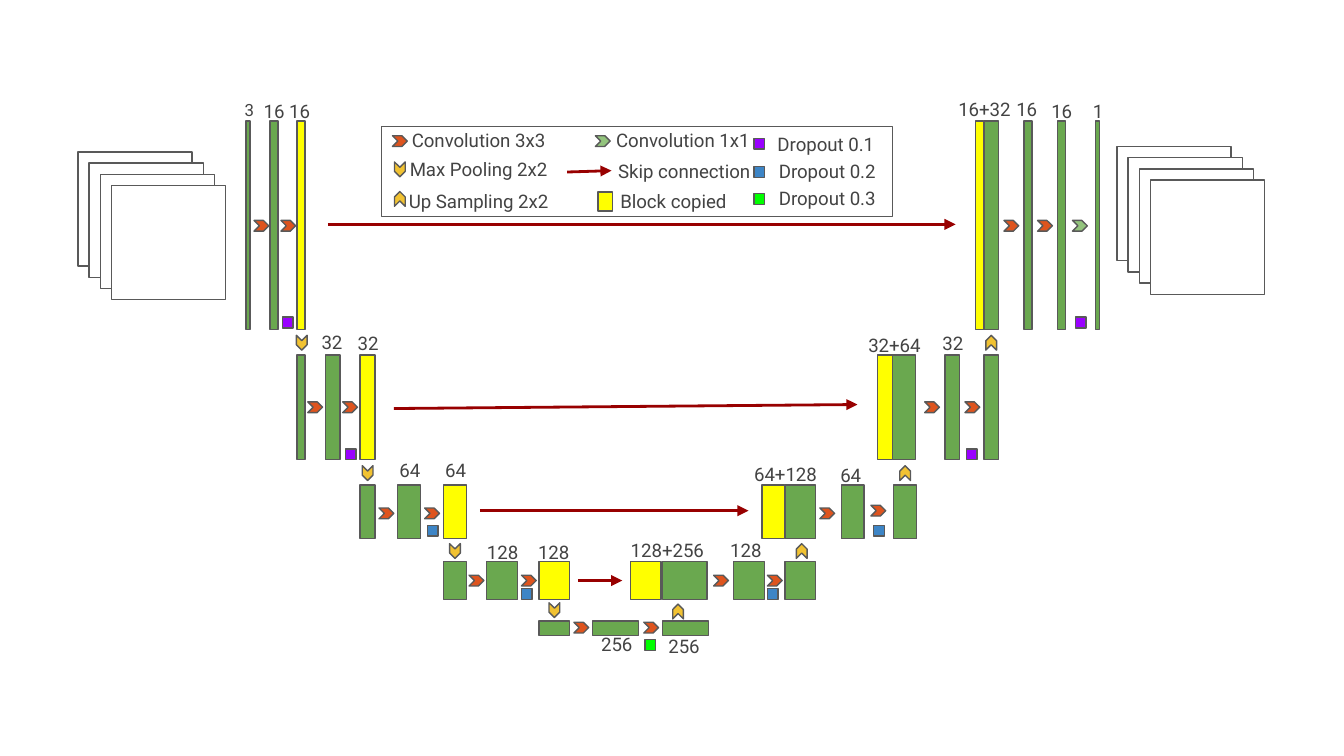
"""Build a slide showing a U-shaped network with skip connections and a legend."""
from pptx import Presentation
from pptx import util as u
from pptx.dml.color import RGBColor
from pptx.enum import shapes, text
from pptx.oxml.ns import qn
from lxml import etree

GREEN, YELLOW, WHITE = "6AA84F", "FFFF00", "FFFFFF"
ORANGE, GOLD, PALE_GREEN = "DE541E", "F1C232", "93C47D"
PURPLE, BLUE, LIME = "9900FF", "3D85C6", "00FF00"
RIGHT, DOWN, UP = 0, 90, 270

deck = Presentation()
deck.slide_width, deck.slide_height = u.Inches(10), u.Inches(5.625)
page = deck.slides.add_slide(deck.slide_layouts[6])


def add_figure(left, top, width, height, fill, kind="RECTANGLE", turn=0):
    figure = page.shapes.add_shape(
        shapes.MSO_SHAPE[kind], *map(u.Inches, (left, top, width, height)))
    figure.shadow.inherit = False
    figure.fill.solid()
    figure.fill.fore_color.rgb = RGBColor.from_string(fill)
    figure.line.color.rgb = RGBColor.from_string("595959")
    figure.line.width = u.Pt(0.75)
    figure.rotation = turn


def add_label(words, left, top, width=0.46, size=10, color="434343"):
    box = page.shapes.add_textbox(*map(u.Inches, (left, top, width, 0.23)))
    frame = box.text_frame
    frame.word_wrap = True
    frame.vertical_anchor = text.MSO_ANCHOR.MIDDLE
    frame.margin_left = frame.margin_right = frame.margin_top = frame.margin_bottom = 0
    para = frame.paragraphs[0]
    para.alignment = text.PP_ALIGN.CENTER
    span = para.add_run()
    span.text = words
    span.font.size = u.Pt(size)
    span.font.name = "Roboto"
    span.font.color.rgb = RGBColor.from_string(color)


levels = [
    (0.9, 1.55, [(1.83, 0.03, GREEN), (2.01, 0.06, GREEN), (2.21, 0.06, YELLOW),
                 (7.32, 0.11, GREEN), (7.26, 0.06, YELLOW), (7.62, 0.06, GREEN),
                 (7.87, 0.06, GREEN), (8.15, 0.03, GREEN)]),
    (2.64, 0.78, [(2.21, 0.06, GREEN), (2.42, 0.11, GREEN), (2.68, 0.11, YELLOW),
                  (6.64, 0.17, GREEN), (6.53, 0.11, YELLOW), (7.03, 0.11, GREEN),
                  (7.32, 0.11, GREEN)]),
    (3.61, 0.4, [(2.68, 0.11, GREEN), (2.96, 0.17, GREEN), (3.3, 0.17, YELLOW),
                 (5.84, 0.23, GREEN), (5.67, 0.17, YELLOW), (6.26, 0.17, GREEN),
                 (6.65, 0.17, GREEN)]),
    (4.18, 0.28, [(3.3, 0.17, GREEN), (3.62, 0.23, GREEN), (4.01, 0.23, YELLOW),
                  (4.69, 0.23, YELLOW), (4.93, 0.33, GREEN), (5.46, 0.23, GREEN),
                  (5.84, 0.23, GREEN)]),
    (4.62, 0.11, [(4.01, 0.23, GREEN), (4.41, 0.34, GREEN), (4.93, 0.34, GREEN)]),
]
for top, height, blocks in levels:
    for left, width, fill in blocks:
        add_figure(left, top, width, height, fill)

add_figure(2.84, 0.94, 3.8, 0.67, WHITE)
add_figure(4.45, 1.43, 0.11, 0.14, YELLOW)

chevrons = [
    (ORANGE, RIGHT, [(1.89, 1.64), (2.09, 1.64), (7.47, 1.64), (7.72, 1.64),
                     (2.29, 2.99), (2.55, 2.99), (6.88, 2.99), (7.18, 2.99),
                     (2.82, 3.78), (3.16, 3.78), (6.1, 3.78), (6.48, 3.76),
                     (3.49, 4.28), (3.88, 4.28), (5.31, 4.28), (5.71, 4.28),
                     (4.27, 4.63), (4.79, 4.63), (2.92, 1.01)]),
    (PALE_GREEN, RIGHT, [(7.98, 1.64), (4.43, 1.01)]),
    (GOLD, DOWN, [(2.19, 2.51), (2.68, 3.48), (3.33, 4.06), (4.07, 4.5), (2.92, 1.22)]),
    (GOLD, UP, [(4.99, 4.51), (5.91, 4.06), (6.68, 3.48), (7.32, 2.51), (2.92, 1.44)]),
]
for fill, turn, places in chevrons:
    for left, top in places:
        add_figure(left, top, 0.11, 0.08, fill, "CHEVRON", turn)

dropouts = [
    (PURPLE, [(2.1, 2.36), (2.57, 3.34), (7.19, 3.34), (8, 2.36), (5.61, 1.03)]),
    (BLUE, [(3.18, 3.91), (6.5, 3.91), (5.71, 4.38), (3.88, 4.38), (5.61, 1.24)]),
    (LIME, [(4.8, 4.76), (5.61, 1.44)]),
]
for fill, places in dropouts:
    for left, top in places:
        add_figure(left, top, 0.08, 0.08, fill)

skips = [(2.44, 1.67, 7.11, 1.67), (2.93, 3.04, 6.38, 3.01), (3.57, 3.8, 5.57, 3.8),
         (4.3, 4.32, 4.63, 4.32), (4.22, 1.28, 4.55, 1.27)]
for ends in skips:
    arrow = page.shapes.add_connector(shapes.MSO_CONNECTOR.STRAIGHT, *map(u.Inches, ends))
    arrow.line.color.rgb = RGBColor.from_string("980000")
    arrow.line.width = u.Pt(1.5)
    properties = arrow.element.spPr
    etree.SubElement(properties.find(qn("a:ln")), qn("a:tailEnd"), type="triangle")
    etree.SubElement(properties, qn("a:effectLst"))

add_label("3", 1.74, 0.7, width=0.23, size=9)
channels = [
    ("16", 1.81, 0.71), ("16", 2, 0.71), ("16", 7.41, 0.7), ("16", 7.67, 0.71),
    ("1", 7.94, 0.71), ("32", 2.24, 2.43), ("32", 2.51, 2.44), ("32", 6.86, 2.44),
    ("64", 2.82, 3.38), ("64", 3.16, 3.38), ("64", 6.1, 3.42), ("128", 3.51, 3.99),
    ("128", 3.89, 3.99), ("128", 5.32, 3.98), ("256", 4.36, 4.68), ("256", 4.86, 4.69),
]
for words, left, top in channels:
    add_label(words, left, top)

wide_labels = [
    ("16+32", 7.02, 0.7, 0.61), ("32+64", 6.35, 2.45, 0.61),
    ("64+128", 5.51, 3.41, 0.67), ("128+256", 4.54, 3.98, 0.85),
    ("Convolution 3x3", 2.87, 0.93, 1.38), ("Max Pooling 2x2", 2.87, 1.14, 1.38),
    ("Up Sampling 2x2", 2.87, 1.38, 1.38), ("Convolution 1x1", 4.39, 0.93, 1.38),
    ("Skip connection", 4.4, 1.16, 1.38), ("Block copied", 4.32, 1.38, 1.38),
    ("Dropout 0.1", 5.68, 0.96, 0.93), ("Dropout 0.2", 5.69, 1.16, 0.93),
    ("Dropout 0.3", 5.69, 1.36, 0.93),
]
for words, left, top, width in wide_labels:
    add_label(words, left, top, width=width)

for stack_left, stack_top in [(0.58, 1.13), (8.31, 1.09)]:
    for layer in range(4):
        offset = layer * 0.25 / 3
        add_figure(stack_left + offset, stack_top + offset, 0.85, 0.85, WHITE)

deck.save("out.pptx")
